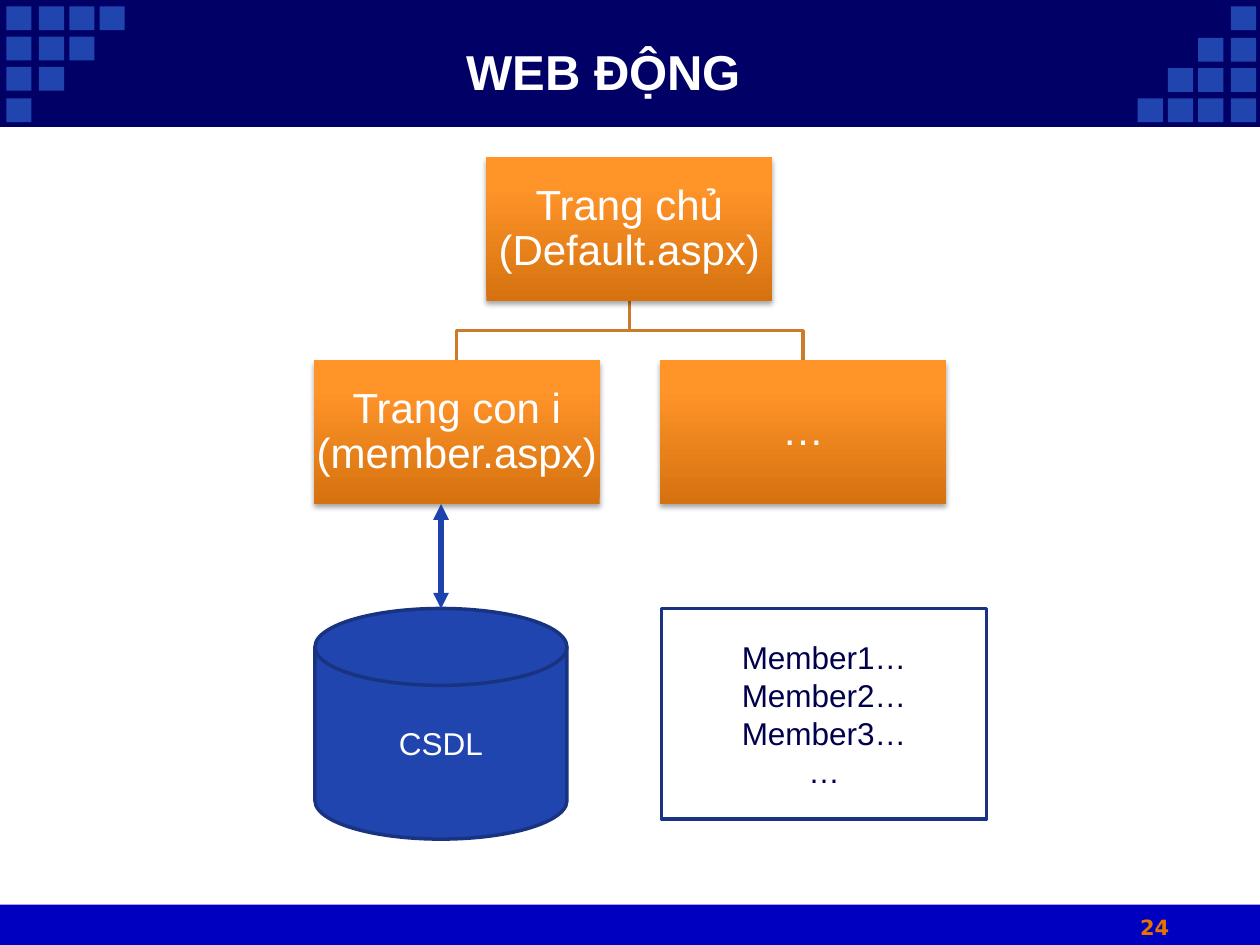
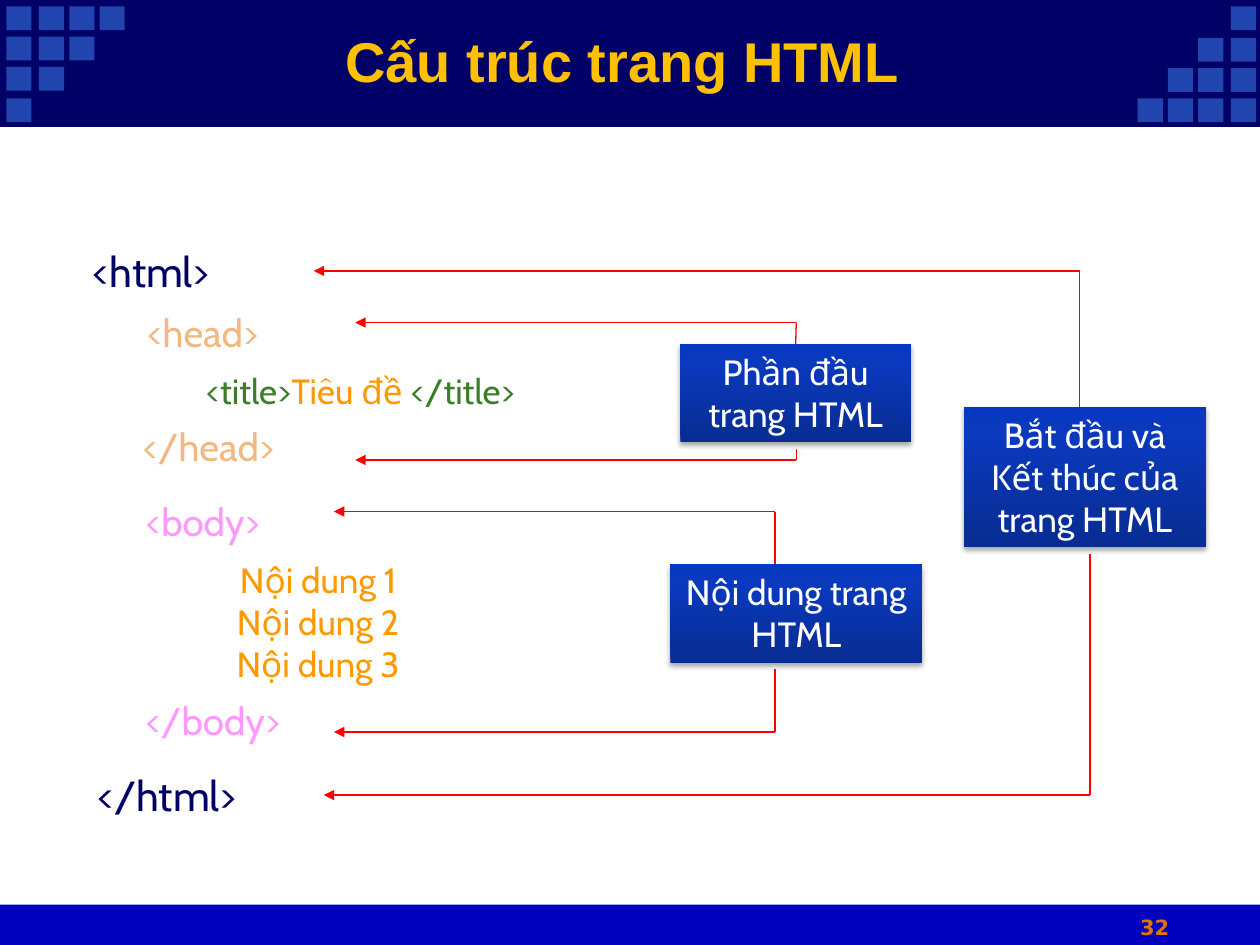
from lxml.etree import SubElement as Sub
from pptx import Presentation
from pptx.dml.color import RGBColor
from pptx.enum.shapes import MSO_CONNECTOR as Link, MSO_SHAPE as Kind
from pptx.enum.text import MSO_ANCHOR as Anchor, MSO_AUTO_SIZE as Fit, PP_ALIGN as Align
from pptx.oxml.ns import qn
from pptx.util import Inches, Pt

NAVY, ROYAL, BLUE, EDGE = "000066", "0000C0", "2045AE", "183381"
WHITE, RED, AMBER = "FFFFFF", "FF0000", "FF9900"
PINK, PEACH, GREEN = "FF99FF", "F1B981", "3C7E27"
ORANGE_FADE = [(0, "D5720F"), (80, "FF9429"), (100, "FF952B")]
BLUE_FADE = [(0, "082C92"), (80, "0A39BD"), (100, "0738C2")]
COLS = [0.05, 0.31, 0.55, 0.79]
ROWS = [0.05, 0.29, 0.53, 0.78]
NODE_W, NODE_H = 2.27, 1.14


def rgb(code):
    return RGBColor.from_string(code)


def write(shape, text, size=18, color=WHITE, font="Arial", bold=False,
          anchor=Anchor.MIDDLE, inset=None, spacing=None):
    """Fill a shape with paragraphs; each is a string or a list of (text, color)."""
    frame = shape.text_frame
    frame.word_wrap = True
    frame.auto_size = Fit.NONE
    frame.vertical_anchor = anchor
    if inset is not None:
        frame.margin_left = frame.margin_right = Inches(inset)
        frame.margin_top = frame.margin_bottom = Inches(inset)
    for i, line in enumerate([text] if isinstance(text, str) else text):
        para = frame.add_paragraph() if i else frame.paragraphs[0]
        para.alignment = Align.CENTER
        if spacing:
            para.line_spacing = spacing
        for words, tint in [(line, color)] if isinstance(line, str) else line:
            run = para.add_run()
            run.text = words
            run.font.name = font
            run.font.size = Pt(size)
            run.font.bold = bold
            run.font.color.rgb = rgb(tint)


def label(slide, at, text, **style):
    box = slide.shapes.add_textbox(*map(Inches, at))
    write(box, text, **style)
    return box


def draw(slide, at, kind=Kind.RECTANGLE, fill=None, edge=None, width=2):
    shape = slide.shapes.add_shape(kind, *map(Inches, at))
    shape.shadow.inherit = False
    if fill:
        shape.fill.solid()
        shape.fill.fore_color.rgb = rgb(fill)
    else:
        shape.fill.background()
    if edge:
        shape.line.color.rgb = rgb(edge)
        shape.line.width = Pt(width)
    else:
        shape.line.fill.background()
    return shape


def tint(parent, code, alpha=None):
    color = Sub(parent, qn("a:srgbClr"), val=code)
    if alpha:
        Sub(color, qn("a:alpha"), val=str(alpha * 1000))


def panel(slide, at, fade, text, **style):
    """Draw a box with an upward gradient and a soft shadow below."""
    shape = draw(slide, at)
    props = shape.element.spPr
    grad = Sub(props, qn("a:gradFill"), rotWithShape="1")
    stops = Sub(grad, qn("a:gsLst"))
    for pos, code in fade:
        tint(Sub(stops, qn("a:gs"), pos=str(pos * 1000)), code)
    Sub(grad, qn("a:lin"), ang="16200000", scaled="0")
    props.replace(props.find(qn("a:noFill")), grad)
    shade = Sub(props.find(qn("a:effectLst")), qn("a:outerShdw"),
                blurRad=str(Pt(3.1)), dist=str(Pt(1.8)), dir="5400000", rotWithShape="0")
    tint(shade, "000000", 35)
    write(shape, text, **style)
    return shape


def connect(slide, start, end, color=RED, width=0.75, head=False, tail=False):
    line = slide.shapes.add_connector(Link.STRAIGHT, *map(Inches, start + end))
    line.line.color.rgb = rgb(color)
    line.line.width = Pt(width)
    for name, shown in (("a:headEnd", head), ("a:tailEnd", tail)):
        if shown:
            Sub(line.line._get_or_add_ln(), qn(name), type="triangle")
    Sub(line.element.spPr, qn("a:effectLst"))
    return line


def arm(slide, x, y, reach, stop):
    """Point left from (x, y) and run a stem from there to height stop."""
    connect(slide, (x, y), (x - reach, y), tail=True)
    return connect(slide, (x, y), (x, stop))


def elbow(slide, start, end):
    (x1, y1), (x2, y2) = start, end
    mid = (y1 + y2) / 2
    path = slide.shapes.build_freeform(Inches(x1), Inches(y1))
    path.add_line_segments([(Inches(x), Inches(y))
                            for x, y in ((x1, mid), (x2, mid), (x2, y2))], close=False)
    shape = path.convert_to_shape()
    shape.shadow.inherit = False
    shape.fill.background()
    shape.line.color.rgb = rgb("CC7B29")
    shape.line.width = Pt(2)


def dress(slide, layout):
    """Draw the bands and corner squares, then move them to the layout."""
    parts = [draw(slide, (0, 7.18, 10, 0.33), fill=ROYAL),
             draw(slide, (0, 0, 10, 1), fill=NAVY, edge=NAVY, width=0.75)]
    for i, y in enumerate(ROWS):
        for x in COLS[:len(COLS) - i]:
            for left, top in ((x, y), (9.82 - x, 0.83 - y)):
                parts.append(draw(slide, (left, top, 0.2, 0.19), fill=BLUE))
    for i, part in enumerate(parts):
        part.element.nvSpPr.cNvPr.set("id", str(100 + i))
        layout.shapes.element.insert(2 + i, part.element)


def start(deck, layout, title, number, left, top, size, color):
    slide = deck.slides.add_slide(layout)
    head = slide.shapes.title
    head.left, head.top = Inches(left), Inches(top)
    head.width, head.height = Inches(8.08), Inches(0.62)
    write(head, title, size=size, color=color, bold=True)
    label(slide, (8.83, 7.21, 0.67, 0.29), number, size=12, color="E57300",
          font="DejaVu Sans", bold=True, anchor=Anchor.TOP)
    return slide


def site(slide):
    """Show the page tree, its database and the member list."""
    root = (3.86, 1.25, "Trang chủ (Default.aspx)")
    kids = [(2.49, 2.86, "Trang con i (member.aspx)"), (5.24, 2.86, "…")]
    half = NODE_W / 2
    for x, y, _ in kids:
        elbow(slide, (root[0] + half, root[1] + NODE_H), (x + half, y))
    for x, y, text in [root] + kids:
        panel(slide, (x, y, NODE_W, NODE_H), ORANGE_FADE, text,
              size=24, inset=0.02, spacing=0.9)
    disk = draw(slide, (2.5, 4.83, 2, 1.83), Kind.FLOWCHART_MAGNETIC_DISK, BLUE, EDGE)
    write(disk, "CSDL")
    connect(slide, (3.5, 4), (3.5, 4.83), "1C42AE", 3, head=True, tail=True)
    members = draw(slide, (5.25, 4.83, 2.58, 1.67), edge=EDGE)
    write(members, ["Member1…", "Member2…", "Member3…", "…"], color="00004D")


def markup(slide):
    """Show the tags of a page with brackets that name its parts."""
    code = dict(font="Cabin", anchor=Anchor.TOP)
    tags = [(0.49, 1.9, 1.42, 0.5, "<html>", 24, NAVY),
            (0.49, 6.06, 1.67, 0.5, "</html>", 24, NAVY),
            (0.9, 3.9, 1.42, 0.47, "<body>", 22, PINK),
            (0.9, 5.48, 1.58, 0.47, "</body>", 22, PINK),
            (0.9, 2.4, 1.42, 0.47, "<head>", 22, PEACH),
            (0.82, 3.31, 1.67, 0.47, "</head>", 22, PEACH),
            (1.65, 4.38, 1.75, 1.1, "Nội dung 1 Nội dung 2 Nội dung 3", 20, AMBER)]
    for *at, text, size, color in tags:
        label(slide, at, text, size=size, color=color, **code)
    title = [("<title>", GREEN), ("Tiêu đề ", AMBER), ("</title>", GREEN)]
    label(slide, (1.32, 2.88, 3.08, 0.43), [title], size=20, **code)

    panel(slide, (7.65, 3.23, 1.92, 1.11), BLUE_FADE,
          "Bắt đầu và Kết thúc của trang HTML", size=20, **code)
    arm(slide, 8.57, 2.15, 6.08, 3.23)
    arm(slide, 8.65, 6.31, 6.08, 4.4)

    head = panel(slide, (5.4, 2.73, 1.83, 0.78), BLUE_FADE,
                 "Phần đầu trang HTML", size=20, **code)
    arm(slide, 6.32, 2.56, 3.5, 2.73).end_connect(head, 0)
    arm(slide, 6.32, 3.65, 3.5, 3.56)

    panel(slide, (5.32, 4.48, 2, 0.78), BLUE_FADE,
          "Nội dung trang HTML", size=20, **code)
    arm(slide, 6.15, 4.06, 3.5, 4.48)
    arm(slide, 6.15, 5.81, 3.5, 5.31)


def main():
    deck = Presentation()
    deck.slide_width, deck.slide_height = Inches(10), Inches(7.5)
    layout = deck.slide_layouts[5]
    first = start(deck, layout, "WEB ĐỘNG", "24", 0.75, 0.25, 28, WHITE)
    dress(first, layout)
    site(first)
    markup(start(deck, layout, "Cấu trúc trang HTML", "32", 0.9, 0.17, 32, "FFC000"))
    deck.save("out.pptx")


if __name__ == "__main__":
    main()
